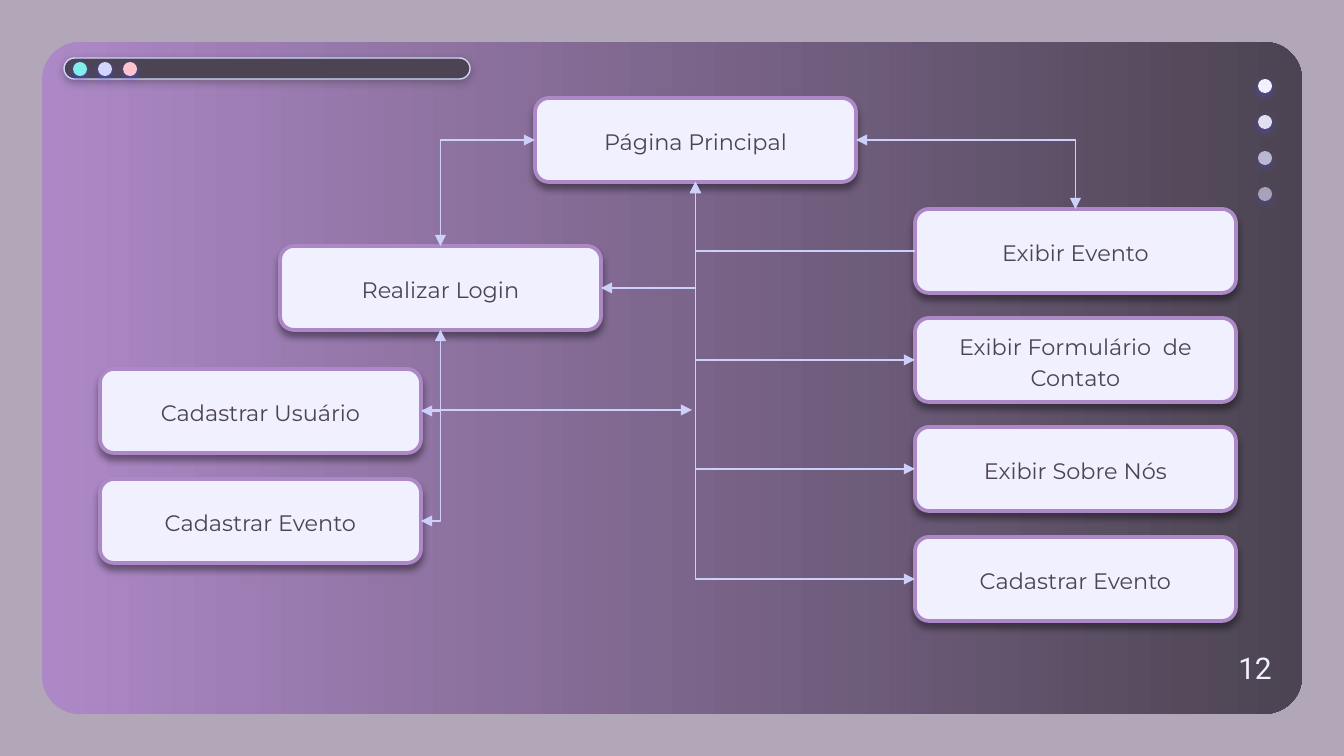
"""Build a site map slide with linked page boxes on a gradient window."""
from dataclasses import dataclass

from lxml.etree import SubElement
from pptx import Presentation
from pptx.dml.color import RGBColor
from pptx.enum.shapes import MSO_CONNECTOR, MSO_SHAPE
from pptx.enum.text import MSO_ANCHOR, PP_ALIGN
from pptx.oxml.ns import qn
from pptx.util import Pt


@dataclass(frozen=True)
class Theme:
    backdrop: str = "B2A7B8"
    dark: str = "4C4452"
    purple: str = "AD88C6"
    pale: str = "F1F0FF"
    bar_line: str = "D2D6FF"
    link: str = "CCD0FA"
    teal: str = "81EEEB"
    pink: str = "FFC3D0"
    dot_shadow: str = "5352EE"
    box_shadow: str = "000000"
    box_font: str = "Montserrat"
    number_font: str = "Roboto"
    box_size: int = 12
    number_size: int = 16


theme = Theme()
PX = 9144000 / 1344
TOP, LEFT, BOTTOM, RIGHT = range(4)


def add_panel(kind, bounds, fill, shadow=None, line=None, opacity=100):
    panel = page.shapes.add_shape(kind, *(round(value * PX) for value in bounds))
    panel.shadow.inherit = False
    panel.fill.solid()
    panel.fill.fore_color.rgb = RGBColor.from_string(fill)
    if opacity < 100:
        color = panel._element.spPr.find(qn("a:solidFill"))[0]
        SubElement(color, qn("a:alpha"), val=str(opacity * 1000))
    if line:
        panel.line.color.rgb = RGBColor.from_string(line[0])
        panel.line.width = Pt(line[1])
    else:
        panel.line.fill.background()
    if shadow:
        color, alpha, blur, distance = shadow
        effects = panel._element.spPr.find(qn("a:effectLst"))
        outer = SubElement(effects, qn("a:outerShdw"), blurRad=str(Pt(blur)),
                           dist=str(Pt(distance)), dir="5400000", algn="bl", rotWithShape="0")
        tint = SubElement(outer, qn("a:srgbClr"), val=color)
        SubElement(tint, qn("a:alpha"), val=str(alpha * 1000))
    return panel


def add_link(kind, start, end, arrows):
    points = [round(value * PX) for value in (*start, *end)]
    link = page.shapes.add_connector(kind, *points)
    link.line.color.rgb = RGBColor.from_string(theme.link)
    link.line.width = Pt(0.75)
    outline = link.line._get_or_add_ln()
    for arrow in arrows:
        SubElement(outline, qn(f"a:{arrow}"), type="triangle", w="med", len="med")
    SubElement(link._element.spPr, qn("a:effectLst"))
    return link


deck = Presentation()
deck.slide_width, deck.slide_height = round(1344 * PX), round(756 * PX)
page = deck.slides.add_slide(deck.slide_layouts[6])
page.background.fill.solid()
page.background.fill.fore_color.rgb = RGBColor.from_string(theme.backdrop)

window = add_panel(MSO_SHAPE.ROUNDED_RECTANGLE, (42, 42, 1260, 672), theme.dark)
window.adjustments[0] = 0.056
window.fill.gradient()
window.fill.gradient_angle = 0
for stop, color, position in zip(window.fill.gradient_stops, (theme.purple, theme.dark), (0, 1)):
    stop.color.rgb = RGBColor.from_string(color)
    stop.position = position

bar = add_panel(MSO_SHAPE.ROUNDED_RECTANGLE, (64, 58, 406, 21), theme.dark,
                (theme.dark, 50, 4.5, 1.5), (theme.bar_line, 0.75))
bar.adjustments[0] = 0.5

dot_shadow = (theme.dot_shadow, 50, 4.5, 1.5)
for index, color in enumerate((theme.teal, theme.bar_line, theme.pink)):
    add_panel(MSO_SHAPE.OVAL, (73 + 25 * index, 62, 14, 14), color, dot_shadow)
for index, opacity in enumerate((100, 90, 67, 54)):
    add_panel(MSO_SHAPE.OVAL, (1258, 79 + 36 * index, 14, 14), theme.pale, dot_shadow,
              opacity=opacity)

add_link(MSO_CONNECTOR.STRAIGHT, (392, 410), (692, 410), ["tailEnd"])

boxes = {}
for name, label, left, top in (
    ("main", "Página Principal", 535, 98),
    ("event", "Exibir Evento", 915, 209),
    ("contact", "Exibir Formulário  de Contato", 915, 318),
    ("new_event", "Cadastrar Evento", 915, 537),
    ("about", "Exibir Sobre Nós", 915, 427),
    ("user", "Cadastrar Usuário", 100, 369),
    ("login", "Realizar Login", 280, 246),
    ("login_event", "Cadastrar Evento", 100, 479),
):
    box = add_panel(MSO_SHAPE.ROUNDED_RECTANGLE, (left, top, 321, 84), theme.pale,
                    (theme.box_shadow, 40, 4, 3), (theme.purple, 2))
    box.text_frame.text = label
    box.text_frame.word_wrap = True
    box.text_frame.vertical_anchor = MSO_ANCHOR.MIDDLE
    para = box.text_frame.paragraphs[0]
    para.alignment = PP_ALIGN.CENTER
    para.line_spacing = 1.15
    para.space_after = Pt(8)
    span = para.runs[0]
    span.font.name = theme.box_font
    span.font.size = Pt(theme.box_size)
    span.font.color.rgb = RGBColor.from_string(theme.dark)
    boxes[name] = box

number = page.shapes.add_textbox(*(round(value * PX) for value in (1212, 636, 73, 46)))
frame = number.text_frame
frame.text = "12"
frame.word_wrap = True
frame.margin_left = frame.margin_right = frame.margin_top = frame.margin_bottom = Pt(7.2)
frame.paragraphs[0].alignment = PP_ALIGN.RIGHT
span = frame.paragraphs[0].runs[0]
span.font.name = theme.number_font
span.font.size = Pt(theme.number_size)
span.font.color.rgb = RGBColor.from_string(theme.pale)

both = ["headEnd", "tailEnd"]
for source, source_side, target, target_side, arrows in (
    ("new_event", LEFT, "main", BOTTOM, both),
    ("contact", LEFT, "main", BOTTOM, both),
    ("about", LEFT, "main", BOTTOM, both),
    ("event", LEFT, "main", BOTTOM, ["tailEnd"]),
    ("main", RIGHT, "event", TOP, both),
    ("main", LEFT, "login", TOP, both),
    ("user", RIGHT, "login", BOTTOM, both),
    ("login_event", RIGHT, "login", BOTTOM, ["headEnd"]),
):
    link = add_link(MSO_CONNECTOR.ELBOW, (0, 0), (1, 1), arrows)
    link.begin_connect(boxes[source], source_side)
    link.end_connect(boxes[target], target_side)
    link._element.spPr.find(qn("a:prstGeom")).set("prst", "bentConnector2")

login_link = add_link(MSO_CONNECTOR.STRAIGHT, (695, 288), (601, 288), ["tailEnd"])
login_link.end_connect(boxes["login"], RIGHT)

deck.save("out.pptx")
